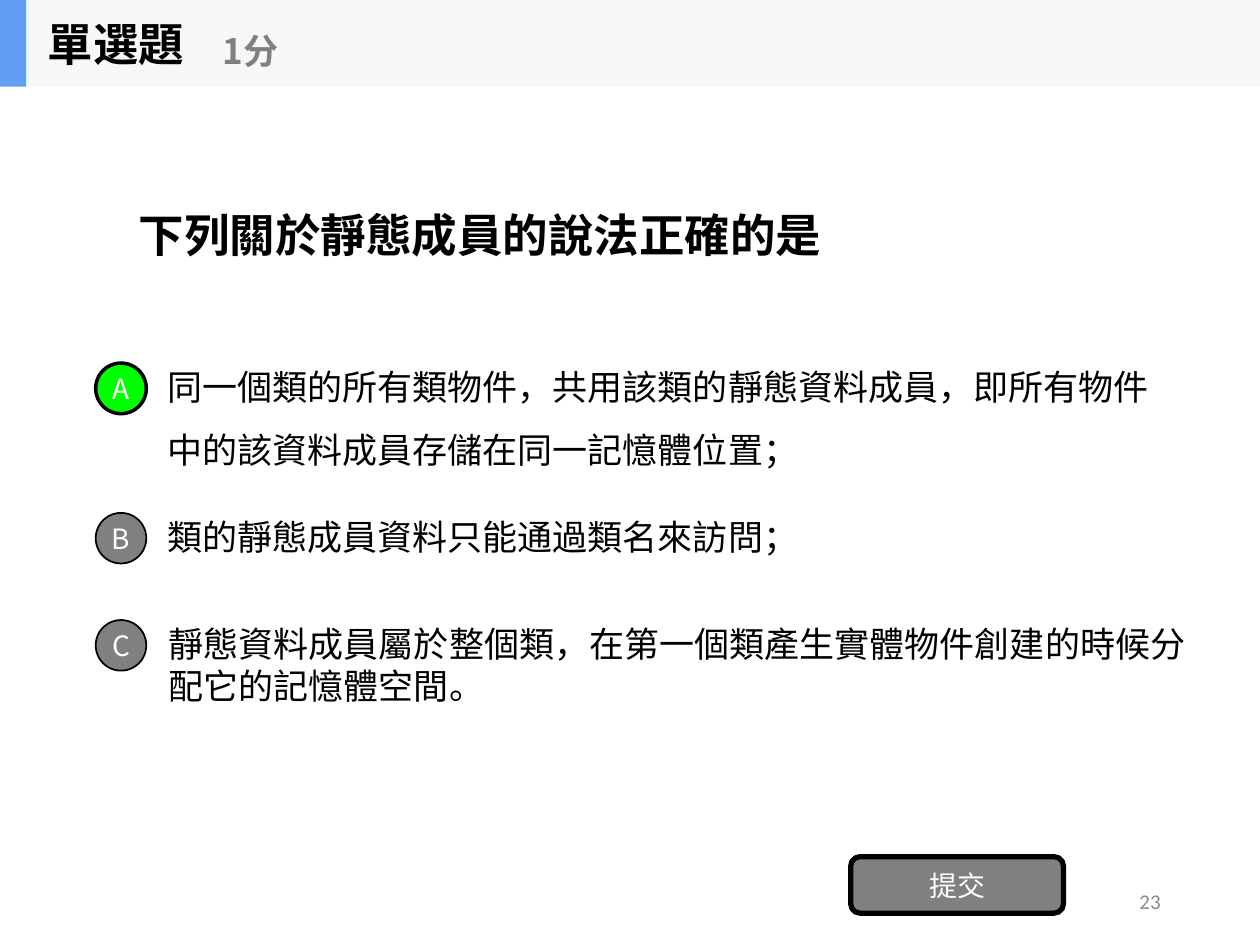
from lxml import etree
from pptx import Presentation
from pptx.dml.color import RGBColor
from pptx.enum.shapes import MSO_SHAPE
from pptx.enum.text import MSO_ANCHOR, MSO_AUTO_SIZE, PP_ALIGN
from pptx.oxml.ns import qn
from pptx.util import Cm, Pt

LEFT, CENTER, RIGHT = PP_ALIGN.LEFT, PP_ALIGN.CENTER, PP_ALIGN.RIGHT
MIDDLE = MSO_ANCHOR.MIDDLE
NO_FIT = MSO_AUTO_SIZE.NONE
ELLIPSE, RECTANGLE = MSO_SHAPE.OVAL, MSO_SHAPE.RECTANGLE
ROUNDED = MSO_SHAPE.ROUNDED_RECTANGLE

BLACK = RGBColor(0x00, 0x00, 0x00)
WHITE = RGBColor(0xFF, 0xFF, 0xFF)
GRAY = RGBColor(0x80, 0x80, 0x80)
GREEN = RGBColor(0x00, 0xFF, 0x00)
BLUE = RGBColor(0x63, 0x9E, 0xF4)
PALE = RGBColor(0xF6, 0xF7, 0xF8)
NUMBER_GRAY = RGBColor(0x8C, 0x8C, 0x8C)

SANS, SERIF, NUMBER_FONT = "Noto Sans CJK SC", "Times New Roman", "Calibri"

SLIDE_WIDTH, SLIDE_HEIGHT, HEADER_HEIGHT = 25.4, 19.05, 1.75
BADGE_LEFT, BADGE_SIZE, OPTION_HEIGHT = 1.93, 1.02, 1.78

QUESTION = "下列關於靜態成員的說法正確的是"
OPTIONS = [
    {"letter": "A", "fill": GREEN, "outline": 2, "badge_top": 7.32,
     "text_box": (3.12, 7.32, 19.96), "spacing": 1.5,
     "lines": ["同一個類的所有類物件，共用該類的靜態資料成員，即所有物件",
               "中的該資料成員存儲在同一記憶體位置；"]},
    {"letter": "B", "fill": GRAY, "outline": 1, "badge_top": 10.34,
     "text_box": (3.12, 9.93, 17.78), "spacing": 1,
     "lines": ["類的靜態成員資料只能通過類名來訪問；"]},
    {"letter": "C", "fill": GRAY, "outline": 1, "badge_top": 12.5,
     "text_box": (3.15, 12.5, 20.5), "spacing": 1,
     "lines": ["靜態資料成員屬於整個類，在第一個類產生實體物件創建的時候分",
               "配它的記憶體空間。"]},
]


def write_lines(shape, lines, size, color, font=SANS, bold=False,
                align=LEFT, spacing=1, wrap=True):
    frame = shape.text_frame
    frame.auto_size = NO_FIT
    frame.word_wrap = wrap
    frame.vertical_anchor = MIDDLE
    for index, line in enumerate(lines):
        paragraph = frame.add_paragraph() if index else frame.paragraphs[0]
        paragraph.alignment = align
        paragraph.line_spacing = spacing
        run = paragraph.add_run()
        run.text = line
        run.font.size = Pt(size)
        run.font.bold = bold
        run.font.name = font
        run.font.color.rgb = color
        east_asian = etree.Element(qn("a:ea"), typeface=SANS)
        run.font._element.find(qn("a:latin")).addnext(east_asian)


def add_text(slide, box, lines, size, color, **style):
    shape = slide.shapes.add_textbox(*map(Cm, box))
    write_lines(shape, lines, size, color, **style)


def add_block(slide, kind, box, fill, outline=0, label=None):
    shape = slide.shapes.add_shape(kind, *map(Cm, box))
    shape.shadow.inherit = False
    shape.fill.solid()
    shape.fill.fore_color.rgb = fill
    if outline:
        shape.line.color.rgb = BLACK
        shape.line.width = Pt(outline)
    else:
        shape.line.fill.background()
    if label:
        frame = shape.text_frame
        frame.margin_left = frame.margin_right = 0
        frame.margin_top = frame.margin_bottom = 0
        write_lines(shape, [label], 16, WHITE, align=CENTER, wrap=kind != ELLIPSE)


def main():
    presentation = Presentation()
    presentation.slide_width = Cm(SLIDE_WIDTH)
    presentation.slide_height = Cm(SLIDE_HEIGHT)
    slide = presentation.slides.add_slide(presentation.slide_layouts[5])

    title = slide.shapes.title
    title.left, title.top = Cm(2.54), Cm(HEADER_HEIGHT)
    title.width, title.height = Cm(20.32), Cm(5.94)
    write_lines(title, [QUESTION], 26, BLACK, bold=True)

    for option in OPTIONS:
        add_text(slide, (*option["text_box"], OPTION_HEIGHT), option["lines"], 20,
                 BLACK, font=SERIF, spacing=option["spacing"], wrap=False)
        add_block(slide, ELLIPSE,
                  (BADGE_LEFT, option["badge_top"], BADGE_SIZE, BADGE_SIZE),
                  option["fill"], option["outline"], option["letter"])

    add_block(slide, ROUNDED, (17.15, 17.27, 4.29, 1.14), GRAY, 3, "提交")
    add_text(slide, (17.93, 17.65, 5.72, 1.02), ["23"], 12, NUMBER_GRAY,
             font=NUMBER_FONT, align=RIGHT)

    add_block(slide, RECTANGLE, (0, 0, SLIDE_WIDTH, HEADER_HEIGHT), PALE)
    add_block(slide, RECTANGLE, (0, 0, 0.53, HEADER_HEIGHT), BLUE)
    add_text(slide, (0.71, 0, 5.28, HEADER_HEIGHT), ["單選題"], 26, BLACK,
             bold=True, wrap=False)
    add_text(slide, (4.24, 0.3, 6.35, 1.42), ["1分"], 20, GRAY,
             bold=True, wrap=False)

    presentation.save("out.pptx")


if __name__ == "__main__":
    main()
